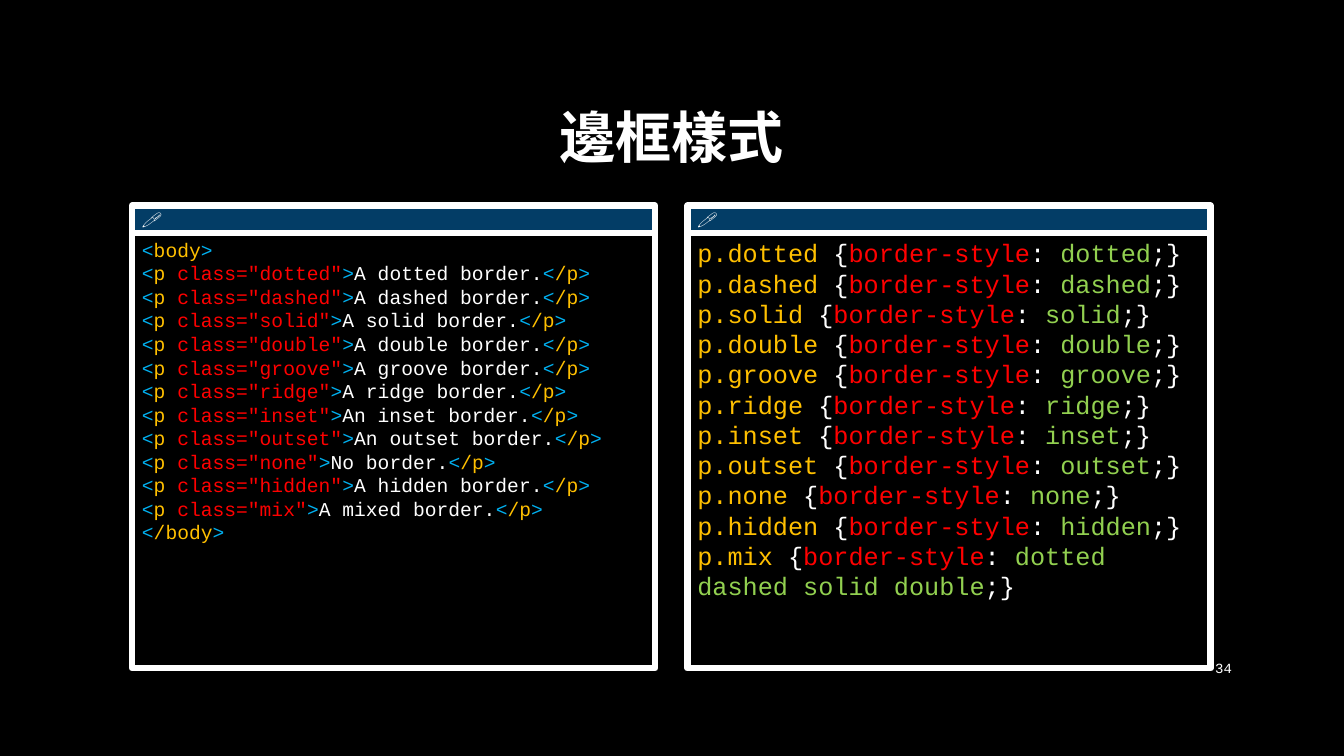
"""Build the slide on CSS border styles, with an HTML panel and a CSS panel."""
from dataclasses import dataclass

from lxml import etree
from pptx import Presentation
from pptx import util as u
from pptx.dml.color import RGBColor
from pptx.enum import shapes, text
from pptx.oxml import ns

FONT = "Courier New"
BLACK = RGBColor(0x00, 0x00, 0x00)
WHITE = RGBColor(0xFF, 0xFF, 0xFF)
NAVY = RGBColor(0x07, 0x7A, 0xCC)
BLUE = RGBColor(0x00, 0xB0, 0xF0)
GOLD = RGBColor(0xFF, 0xC0, 0x00)
RED = RGBColor(0xFF, 0x00, 0x00)
GREEN = RGBColor(0x92, 0xD0, 0x50)

PANEL_TOP = 146.88
PANEL_WIDTH = 373.68
BAR_HEIGHT = 19.44
CODE_HEIGHT = 311.04

Run = tuple[str, RGBColor]
Line = list[Run]


@dataclass(frozen=True)
class BorderStyle:
    name: str
    sentence: str
    value: str = ""


@dataclass(frozen=True)
class CodePanel:
    left: float
    font_size: float
    lines: list[Line]


BORDER_STYLES = [
    BorderStyle("dotted", "A dotted border."),
    BorderStyle("dashed", "A dashed border."),
    BorderStyle("solid", "A solid border."),
    BorderStyle("double", "A double border."),
    BorderStyle("groove", "A groove border."),
    BorderStyle("ridge", "A ridge border."),
    BorderStyle("inset", "An inset border."),
    BorderStyle("outset", "An outset border."),
    BorderStyle("none", "No border."),
    BorderStyle("hidden", "A hidden border."),
    BorderStyle("mix", "A mixed border.", "dotted dashed solid double"),
]


def tag(name: str, attribute: str = "") -> Line:
    """Return the coloured runs of one HTML tag."""
    middle = [(f"{name} ", GOLD), (attribute, RED)] if attribute else [(name, GOLD)]
    return [("<", BLUE), *middle, (">", BLUE)]


def html_line(style: BorderStyle) -> Line:
    """Return the HTML paragraph that uses a border style."""
    return [*tag("p", f'class="{style.name}"'), (style.sentence, WHITE), *tag("/p")]


def css_line(style: BorderStyle) -> Line:
    """Return the CSS rule of a border style."""
    return [(f"p.{style.name} ", GOLD), ("{", WHITE), ("border-style", RED),
            (": ", WHITE), (style.value or style.name, GREEN), (";}", WHITE)]


def write_text(shape, lines: list[Line], *, size: float, bold: bool = False,
               align=text.PP_ALIGN.LEFT, anchor=text.MSO_ANCHOR.MIDDLE,
               line_spacing: float = 1.0) -> None:
    """Fill a shape with one paragraph per line of coloured runs."""
    frame = shape.text_frame
    frame.word_wrap = True
    frame.vertical_anchor = anchor
    for index, line in enumerate(lines):
        paragraph = frame.paragraphs[0] if index == 0 else frame.add_paragraph()
        paragraph.alignment = align
        paragraph.line_spacing = line_spacing
        for content, color in line:
            run = paragraph.add_run()
            run.text = content
            run.font.name = FONT
            run.font.size = u.Pt(size)
            run.font.bold = bold
            run.font.color.rgb = color


def add_text_box(slide, left: float, top: float, width: float, height: float):
    """Add an empty text box, measured in points."""
    return slide.shapes.add_textbox(u.Pt(left), u.Pt(top), u.Pt(width), u.Pt(height))


def add_framed_box(group, left: float, top: float, height: float, color: RGBColor):
    """Add a half-transparent rectangle with a thick white outline."""
    shape = group.shapes.add_shape(shapes.MSO_SHAPE.RECTANGLE, u.Pt(left), u.Pt(top),
                                   u.Pt(PANEL_WIDTH), u.Pt(height))
    shape.shadow.inherit = False
    shape.fill.solid()
    shape.fill.fore_color.rgb = color
    fill_color = shape.fill._xPr.find(ns.qn("a:solidFill"))[0]
    etree.SubElement(fill_color, ns.qn("a:alpha"), val="50000")
    shape.line.color.rgb = WHITE
    shape.line.width = u.Pt(4.5)
    return shape


def add_panel(slide, panel: CodePanel) -> None:
    """Add a code box with its title bar as one group."""
    group = slide.shapes.add_group_shape()
    code = add_framed_box(group, panel.left, PANEL_TOP + BAR_HEIGHT, CODE_HEIGHT, BLACK)
    write_text(code, panel.lines, size=panel.font_size, anchor=text.MSO_ANCHOR.TOP)
    bar = add_framed_box(group, panel.left, PANEL_TOP, BAR_HEIGHT, NAVY)
    write_text(bar, [[("🖊", WHITE)]], size=14)


def main() -> None:
    """Create and save the presentation."""
    presentation = Presentation()
    presentation.slide_width, presentation.slide_height = u.Pt(960), u.Pt(540)
    slide = presentation.slides.add_slide(presentation.slide_layouts[6])
    slide.background.fill.solid()
    slide.background.fill.fore_color.rgb = BLACK

    title = add_text_box(slide, 72, 48.24, 815.04, 104.4)
    write_text(title, [[("邊框樣式", WHITE)]], size=40, bold=True,
               align=text.PP_ALIGN.CENTER, line_spacing=0.9)
    number = add_text_box(slide, 828, 462.96, 59.04, 28.8)
    write_text(number, [[("34", WHITE)]], size=10, align=text.PP_ALIGN.RIGHT)

    html = [tag("body"), *map(html_line, BORDER_STYLES), tag("/body")]
    css = [css_line(style) for style in BORDER_STYLES]
    for panel in (CodePanel(491.04, 18, css), CodePanel(94.32, 14, html)):
        add_panel(slide, panel)
    presentation.save("out.pptx")


if __name__ == "__main__":
    main()
